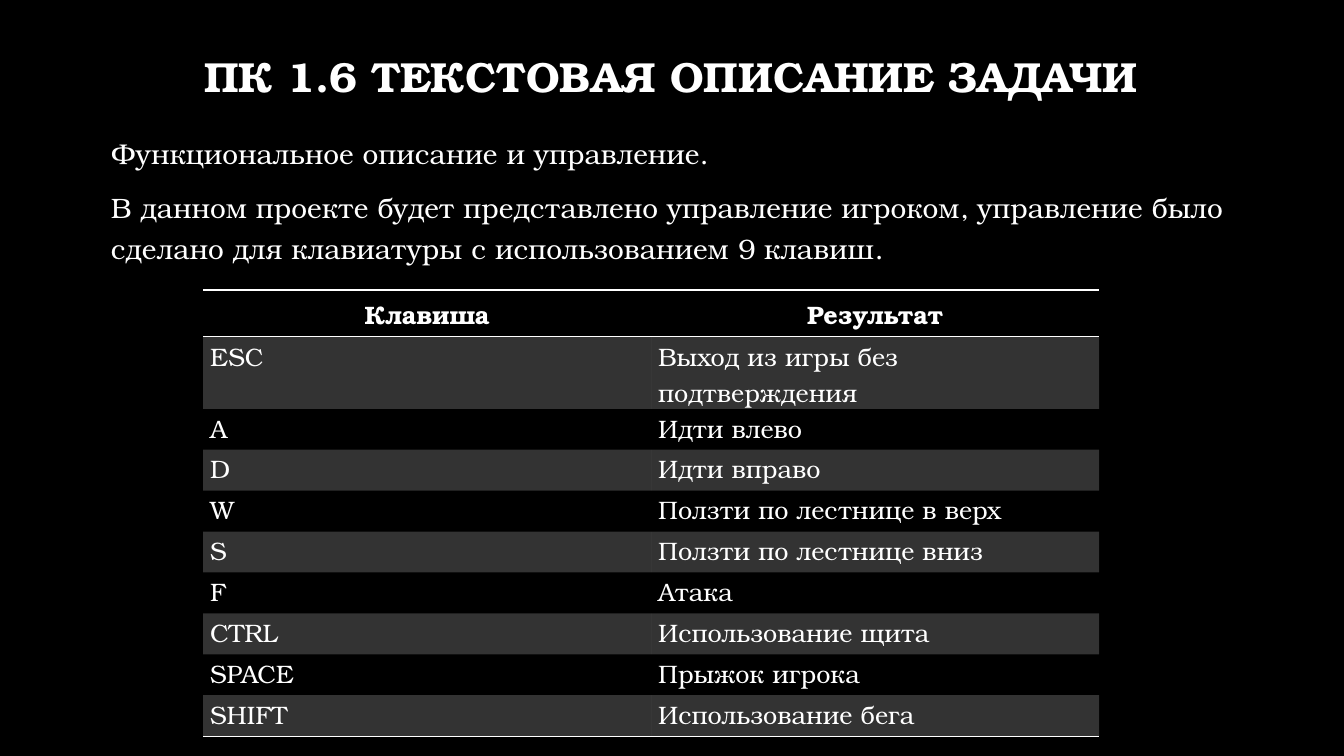
import dataclasses
import typing

import lxml.etree
import pptx
import pptx.dml.color
import pptx.enum.text
import pptx.oxml.ns
import pptx.util

FONT = "TeX Gyre Bonum"
BLACK = "000000"
WHITE = "FFFFFF"
SLIDE_WIDTH = pptx.util.Inches(13.33)
SLIDE_HEIGHT = pptx.util.Inches(7.5)
ALIGN = pptx.enum.text.PP_ALIGN
ANCHOR = pptx.enum.text.MSO_ANCHOR


@dataclasses.dataclass(frozen=True)
class Area:
    left: float
    top: float
    width: float
    height: float

    def lengths(self) -> tuple[int, int, int, int]:
        return (
            round(SLIDE_WIDTH * self.left / 100),
            round(SLIDE_HEIGHT * self.top / 100),
            round(SLIDE_WIDTH * self.width / 100),
            round(SLIDE_HEIGHT * self.height / 100),
        )


@dataclasses.dataclass(frozen=True)
class TextStyle:
    size: float
    bold: bool = False
    align: ALIGN = ALIGN.LEFT
    line_spacing: float = 1.0


class Control(typing.NamedTuple):
    key: str
    result: str


TITLE_AREA = Area(7.5, 4.13, 84.92, 19.33)
DESCRIPTION_AREA = Area(7.5, 16.5, 84.92, 21.87)
CONTROLS_AREA = Area(15.11, 38.35, 66.67, 54.13)

TITLE_STYLE = TextStyle(30, True, ALIGN.CENTER, 0.9)
DESCRIPTION_STYLE = TextStyle(20, line_spacing=1.2)
HEADING_STYLE = TextStyle(18, True, ALIGN.CENTER)
CONTROL_STYLE = TextStyle(18, line_spacing=1.07)

TITLE = "ПК 1.6 ТЕКСТОВАЯ ОПИСАНИЕ ЗАДАЧИ"
DESCRIPTION = [
    "Функциональное описание и управление.",
    "В данном проекте будет представлено управление игроком, управление было "
    "сделано для клавиатуры с использованием 9 клавиш.",
]
CONTROLS = [
    Control("Клавиша", "Результат"),
    Control("ESC", "Выход из игры без подтверждения"),
    Control("A", "Идти влево"),
    Control("D", "Идти вправо"),
    Control("W", "Ползти по лестнице в верх"),
    Control("S", "Ползти по лестнице вниз"),
    Control("F", "Атака"),
    Control("CTRL", "Использование щита"),
    Control("SPACE", "Прыжок игрока"),
    Control("SHIFT", "Использование бега"),
]


def paint(fill, color: str, opacity: int = 100) -> None:
    fill.solid()
    fill.fore_color.rgb = pptx.dml.color.RGBColor.from_string(color)
    if opacity < 100:
        solid = fill._xPr.find(pptx.oxml.ns.qn("a:solidFill"))
        add_element(solid[0], "a:alpha", val=str(opacity * 1000))


def add_element(parent, tag: str, **attributes: str):
    return lxml.etree.SubElement(parent, pptx.oxml.ns.qn(tag), attributes)


def format_paragraph(paragraph, style: TextStyle) -> None:
    paragraph.alignment = style.align
    paragraph.line_spacing = style.line_spacing
    paragraph.space_before = pptx.util.Pt(0)
    for run in paragraph.runs:
        run.font.name = FONT
        run.font.size = pptx.util.Pt(style.size)
        run.font.bold = style.bold
        paint(run.font.fill, WHITE)


def place(placeholder, area: Area, anchor: ANCHOR) -> None:
    placeholder.left, placeholder.top, placeholder.width, placeholder.height = area.lengths()
    frame = placeholder.text_frame
    frame.word_wrap = True
    frame.auto_size = pptx.enum.text.MSO_AUTO_SIZE.NONE
    frame.vertical_anchor = anchor


def draw_title(title) -> None:
    place(title, TITLE_AREA, ANCHOR.MIDDLE)
    title.text_frame.margin_bottom = pptx.util.Inches(0.55)
    title.text_frame.text = TITLE
    format_paragraph(title.text_frame.paragraphs[0], TITLE_STYLE)


def draw_description(body) -> None:
    place(body, DESCRIPTION_AREA, ANCHOR.TOP)
    body.text_frame.text = "\n".join(DESCRIPTION)
    for index, paragraph in enumerate(body.text_frame.paragraphs):
        properties = paragraph._p.get_or_add_pPr()
        properties.set("marL", "0")
        properties.set("indent", "0")
        add_element(properties, "a:buNone")
        format_paragraph(paragraph, DESCRIPTION_STYLE)
        if index:
            paragraph.space_before = pptx.util.Pt(10)


def draw_borders(cell, ruled_sides: set[str]) -> None:
    properties = cell._tc.get_or_add_tcPr()
    for side in "LRTB":
        border = add_element(properties, "a:ln" + side, w=str(pptx.util.Pt(1)))
        if side in ruled_sides:
            fill = add_element(border, "a:solidFill")
            add_element(fill, "a:srgbClr", val=WHITE)
        else:
            add_element(border, "a:noFill")


def draw_cell(cell, text: str, row: int) -> None:
    is_heading = row == 0
    ruled_sides = set()
    if row <= 1:
        ruled_sides.add("T")
    if row in (0, len(CONTROLS) - 1):
        ruled_sides.add("B")
    draw_borders(cell, ruled_sides)
    if row % 2:
        paint(cell.fill, WHITE, 20)
    else:
        cell.fill.background()
    if not is_heading:
        cell.margin_left = cell.margin_right = pptx.util.Inches(0.07)
        cell.margin_top = cell.margin_bottom = 0
    cell.text_frame.text = text
    format_paragraph(
        cell.text_frame.paragraphs[0], HEADING_STYLE if is_heading else CONTROL_STYLE
    )


def draw_controls(slide) -> None:
    controls = slide.shapes.add_table(
        len(CONTROLS), len(Control._fields), *CONTROLS_AREA.lengths()
    ).table
    controls.horz_banding = False
    for row, control in enumerate(CONTROLS):
        for column, text in enumerate(control):
            draw_cell(controls.cell(row, column), text, row)


def main() -> None:
    presentation = pptx.Presentation()
    presentation.slide_width = SLIDE_WIDTH
    presentation.slide_height = SLIDE_HEIGHT
    slide = presentation.slides.add_slide(presentation.slide_layouts[1])
    paint(slide.background.fill, BLACK)
    draw_title(slide.shapes.title)
    draw_description(slide.placeholders[1])
    draw_controls(slide)
    presentation.save("out.pptx")


if __name__ == "__main__":
    main()
